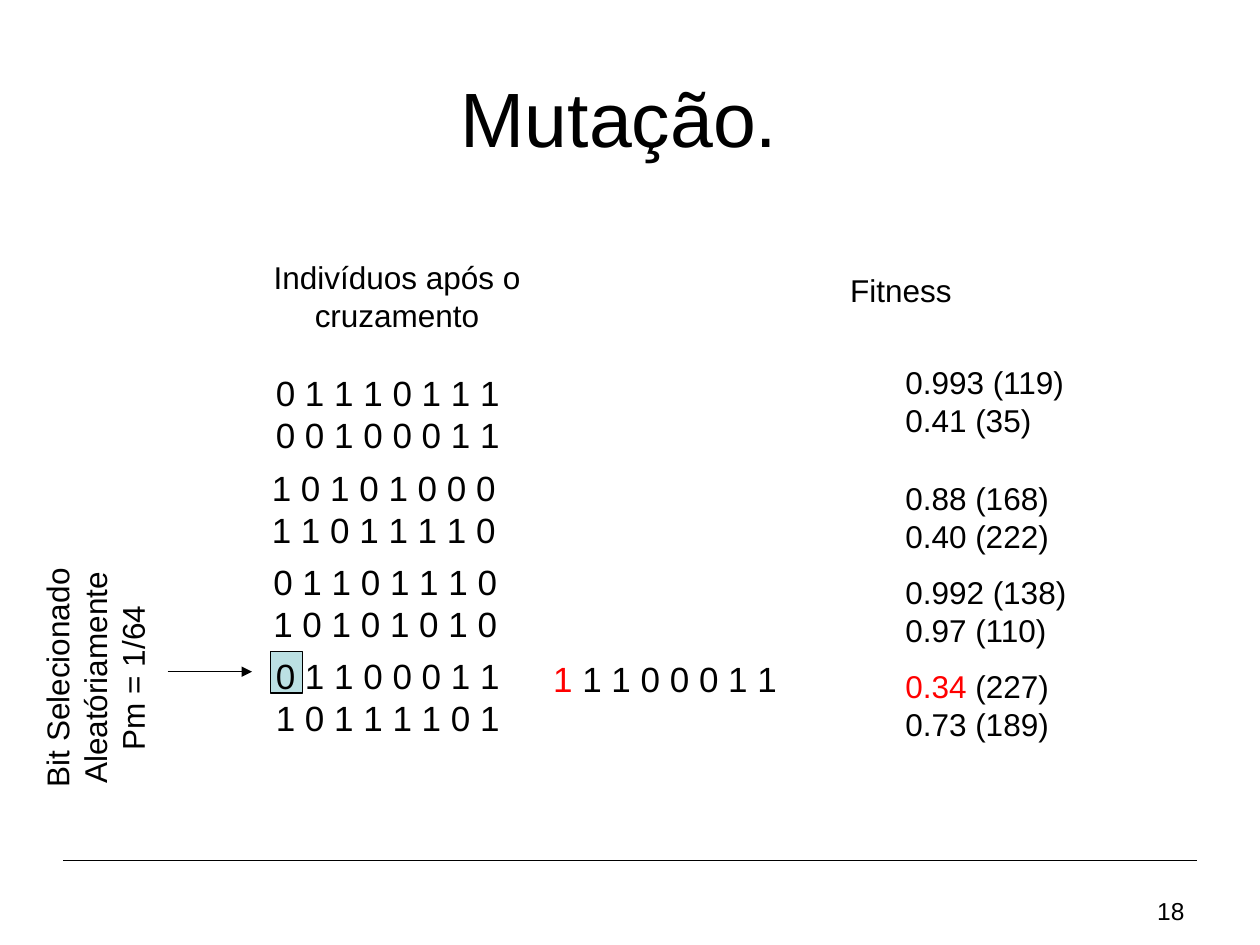
from dataclasses import dataclass
from lxml import etree
from pptx import Presentation
from pptx.dml.color import RGBColor as RGB
from pptx.enum.shapes import MSO_CONNECTOR as CONN, MSO_SHAPE as SHAPE
from pptx.enum.text import MSO_ANCHOR as ANCHOR, PP_ALIGN as ALIGN
from pptx.oxml.ns import qn
from pptx.util import Cm, Pt


@dataclass(frozen=True)
class Theme:
    font: str = "Arial"
    ink: RGB = RGB(0, 0, 0)
    mutated: RGB = RGB(255, 0, 0)
    highlight: RGB = RGB(0xBB, 0xE0, 0xE3)
    title: int = 44
    bits: int = 20
    label: int = 18
    number: int = 14
    line: float = 0.75


@dataclass(frozen=True)
class Box:
    x: float
    y: float
    w: float
    h: float

    def inner(self, dx, dy, w, h):
        return Box(self.x + dx, self.y + dy, w, h)

    def lengths(self):
        return [Cm(v) for v in (self.x, self.y, self.w, self.h)]


T = Theme()
ROW_PITCH = 1.9


def add_text(s, box, lines, size, align=ALIGN.LEFT, anchor=ANCHOR.TOP):
    """Each line is a string, or a (mutated, rest) pair."""
    tb = s.shapes.add_textbox(*box.lengths())
    tf = tb.text_frame
    tf.word_wrap = False
    tf.vertical_anchor = anchor
    for i, line in enumerate(lines):
        p = tf.add_paragraph() if i else tf.paragraphs[0]
        p.alignment = align
        parts = [(line, T.ink)] if isinstance(line, str) else zip(line, (T.mutated, T.ink))
        for text, color in parts:
            r = p.add_run()
            r.text = text
            r.font.name, r.font.size = T.font, Pt(size)
            r.font.color.rgb = color
    return tb


def add_line(s, x1, x2, y, arrow=False):
    line = s.shapes.add_connector(CONN.STRAIGHT, Cm(x1), Cm(y), Cm(x2), Cm(y))
    line.line.color.rgb = T.ink
    line.line.width = Pt(T.line)
    if arrow:
        etree.SubElement(line.line._get_or_add_ln(), qn("a:tailEnd"), type="triangle")
    etree.SubElement(line._element.spPr, qn("a:effectLst"))


def add_title(s, box):
    add_text(s, box, ["Mutação. "], T.title, ALIGN.CENTER, ANCHOR.MIDDLE)


def add_individuals(s, box):
    # Selected bit, behind the first digit of the last pair
    bit = s.shapes.add_shape(SHAPE.RECTANGLE, *box.inner(0.2, 8.05, 0.64, 0.84).lengths())
    bit.shadow.inherit = False
    bit.fill.solid()
    bit.fill.fore_color.rgb = T.highlight
    bit.line.color.rgb = T.ink
    bit.line.width = Pt(T.line)

    add_text(s, box.inner(0, 0, 5.49, 1.78), ["Indivíduos após o", "cruzamento"],
             T.label, ALIGN.CENTER)
    pairs = [
        (0.05, ["0 1 1 1 0 1 1 1", "0 0 1 0 0 0 1 1"]),
        (-0.03, ["1 0 1 0 1 0 0 0", "1 1 0 1 1 1 1 0"]),
        (0, ["0 1 1 0 1 1 1 0", "1 0 1 0 1 0 1 0"]),
        (0.05, ["0 1 1 0 0 0 1 1", "1 0 1 1 1 1 0 1"]),
    ]
    for i, (dx, pair) in enumerate(pairs):
        add_text(s, box.inner(dx, 2.29 + i * ROW_PITCH, 5.03, 1.8), pair, T.bits)


def add_selection_label(s, box):
    # The label is turned about its centre, so its sides are swapped
    w, h = box.h, 2.54
    label = add_text(s, box.inner((h - w) / 2, (w - h) / 2, w, h),
                     ["Bit Selecionado", "Aleatóriamente", "Pm = 1/64"],
                     T.label, ALIGN.CENTER)
    label.rotation = 270
    add_line(s, box.x + 2.74, box.x + box.w, box.y + 2.34, arrow=True)


def add_mutated_individual(s, box):
    add_text(s, box, [("1", " 1 1 0 0 0 1 1")], T.bits)


def add_fitness(s, box):
    add_text(s, box.inner(0, 0, 2.7, 1.02), ["Fitness"], T.label)
    pairs = [
        (1.86, 3.76, ["0.993 (119)", "0.41 (35)"]),
        (4.2, 3.4, ["0.88 (168)", "0.40 (222)"]),
        (4.2 + ROW_PITCH, 3.76, ["0.992 (138)", "0.97 (110)"]),
        (4.2 + 2 * ROW_PITCH, 3.4, [("0.34", " (227)"), "0.73 (189)"]),
    ]
    for dy, w, pair in pairs:
        add_text(s, box.inner(1.11, dy, w, 1.78), pair, T.label)


def add_footer(s, box):
    add_line(s, box.x, box.x + box.w, box.y)
    add_text(s, box.inner(box.w - 1.47, 0.58, 1.47, 0.84), ["18"], T.number, ALIGN.RIGHT)


def main():
    prs = Presentation()
    prs.slide_width, prs.slide_height = Cm(25.4), Cm(19.05)
    s = prs.slides.add_slide(prs.slide_layouts[6])
    add_footer(s, Box(1.27, 17.35, 22.86, 1.42))
    add_title(s, Box(1.27, 0.76, 22.86, 3.18))
    add_individuals(s, Box(5.26, 5.08, 5.49, 9.8))
    add_selection_label(s, Box(0.64, 11.2, 4.44, 4.93))
    add_mutated_individual(s, Box(10.9, 13.13, 5.03, 1.12))
    add_fitness(s, Box(16.89, 5.33, 4.87, 9.8))
    prs.save("out.pptx")


if __name__ == "__main__":
    main()
